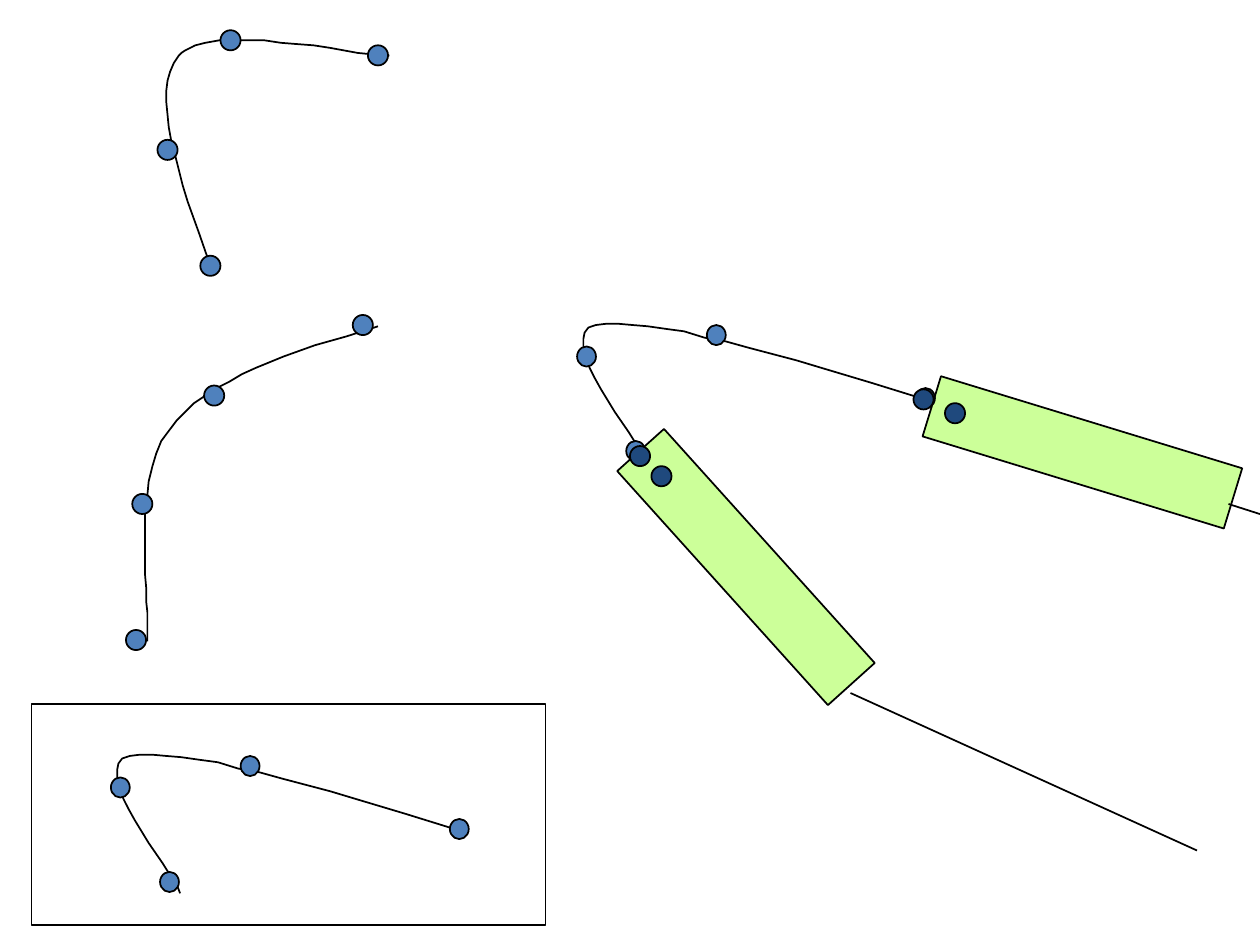
from dataclasses import dataclass

from lxml import etree
from pptx import Presentation
from pptx.dml.color import RGBColor
from pptx.enum.shapes import MSO_CONNECTOR, MSO_SHAPE
from pptx.oxml.ns import qn
from pptx.util import Inches, Pt

OVAL, RECT = MSO_SHAPE.OVAL, MSO_SHAPE.RECTANGLE
STRAIGHT = MSO_CONNECTOR.STRAIGHT
BLANK = 6


@dataclass(frozen=True)
class Theme:
    """Colours and line width of the slide."""
    ink: str = "000000"
    knot: str = "4F81BD"
    pin: str = "1F497D"
    bar: str = "CCFF99"
    width: float = 1


THEME = Theme()
UNIT = Inches(0.01)

BEND = [(185, 0), (160, 8), (135, 15), (110, 24), (88, 33), (77, 38), (67, 44),
        (57, 49), (48, 55), (39, 61), (32, 68), (25, 75), (19, 83), (13, 91),
        (9, 101), (6, 111), (3, 123), (2, 134), (0, 146), (0, 159), (0, 171),
        (0, 196), (1, 207), (1, 218), (2, 227), (2, 236), (2, 244), (2, 250)]
HOOK = [(271, 60), (229, 47), (189, 35), (169, 29), (150, 24), (131, 19),
        (113, 14), (96, 11), (80, 6), (65, 4), (51, 2), (39, 1), (28, 0),
        (18, 0), (10, 1), (7, 2), (4, 3), (1, 7), (0, 12), (0, 19), (2, 27),
        (5, 35), (9, 43), (14, 52), (25, 70), (36, 86), (41, 94), (45, 100),
        (48, 105), (50, 110)]
ARCH = [(35, 179), (26, 153), (17, 128), (13, 115), (10, 103), (7, 91),
        (4, 80), (2, 69), (1, 59), (0, 49), (0, 40), (1, 32), (3, 25), (6, 18),
        (10, 12), (12, 10), (15, 8), (23, 4), (31, 2), (42, 0), (53, 0),
        (65, 0), (78, 0), (91, 2), (104, 3), (117, 4), (130, 6), (141, 8),
        (152, 10), (162, 11), (170, 12), (174, 12), (177, 12)]

BEND_KNOTS = [(165, -9), (47, 47), (-10, 133), (-15, 241)]
HOOK_KNOTS = [(264, 51), (-5, 18), (34, 93), (98, 1)]
ARCH_KNOTS = [(160, 4), (43, -8), (-7, 79), (27, 171)]


def trim(line):
    """Give a line the theme's ink and width."""
    line.color.rgb = RGBColor.from_string(THEME.ink)
    line.width = Pt(THEME.width)


def paint(shape, fill=None, **form):
    """Set fill, outline and further format values of a shape."""
    shape.shadow.inherit = False
    if fill:
        shape.fill.solid()
        shape.fill.fore_color.rgb = RGBColor.from_string(fill)
    else:
        shape.fill.background()
    trim(shape.line)
    for name, value in form.items():
        setattr(shape, name, value)


def block(shapes, kind, box, fill=None, **form):
    """Add a preset shape in a box given in inches."""
    paint(shapes.add_shape(kind, *map(Inches, box)), fill, **form)


def curve(slide, left, top, points, knots, wide=0.16):
    """Draw a grouped curve with its knots from a left top corner."""
    shapes = slide.shapes.add_group_shape().shapes
    pen = shapes.build_freeform(*points[0], scale=UNIT)
    pen.add_line_segments(points[1:], close=False)
    paint(pen.convert_to_shape(Inches(left), Inches(top)))
    for x, y in knots:
        block(shapes, OVAL, (left + x / 100, top + y / 100, wide, 0.16), THEME.knot)


def ray(slide, start, end):
    """Draw a straight line between two points in inches."""
    line = slide.shapes.add_connector(STRAIGHT, *map(Inches, start + end))
    trim(line.line)
    etree.SubElement(line._element.spPr, qn("a:effectLst"))


def sketches(slide):
    """Place the two free curves on the left."""
    curve(slide, 1.15, 2.59, BEND, BEND_KNOTS)
    curve(slide, 1.32, 0.32, ARCH, ARCH_KNOTS)


def inset(slide, left, top, width, height):
    """Place the framed hook curve."""
    curve(slide, left + 0.68, top + 0.4, HOOK, HOOK_KNOTS, 0.15)
    block(slide.shapes, RECT, (left, top, width, height))


def linkage(slide, left, top):
    """Place the hook curve with its two bars, rays and pins."""
    for x, y, turn in ((3.71, -0.23, 107), (1.04, 0.68, 138)):
        block(slide.shapes, RECT, (left + x, top + y, 0.5, 2.5), THEME.bar, rotation=turn)
    curve(slide, left, top, HOOK, HOOK_KNOTS, 0.15)
    ray(slide, (left + 2.12, top + 2.93), (left + 4.87, top + 4.18))
    ray(slide, (left + 5.12, top + 1.43), (left + 5.37, top + 1.51))
    for x, y in ((0.37, 0.97), (0.54, 1.13), (2.62, 0.52), (2.87, 0.63)):
        block(slide.shapes, OVAL, (left + x, top + y, 0.16, 0.16), THEME.pin)


def main():
    """Build and save the slide."""
    deck = Presentation()
    deck.slide_width, deck.slide_height = Inches(10), Inches(7.5)
    slide = deck.slides.add_slide(deck.slide_layouts[BLANK])
    sketches(slide)
    linkage(slide, 4.63, 2.57)
    inset(slide, 0.25, 5.59, 4.08, 1.75)
    deck.save("out.pptx")


if __name__ == "__main__":
    main()
